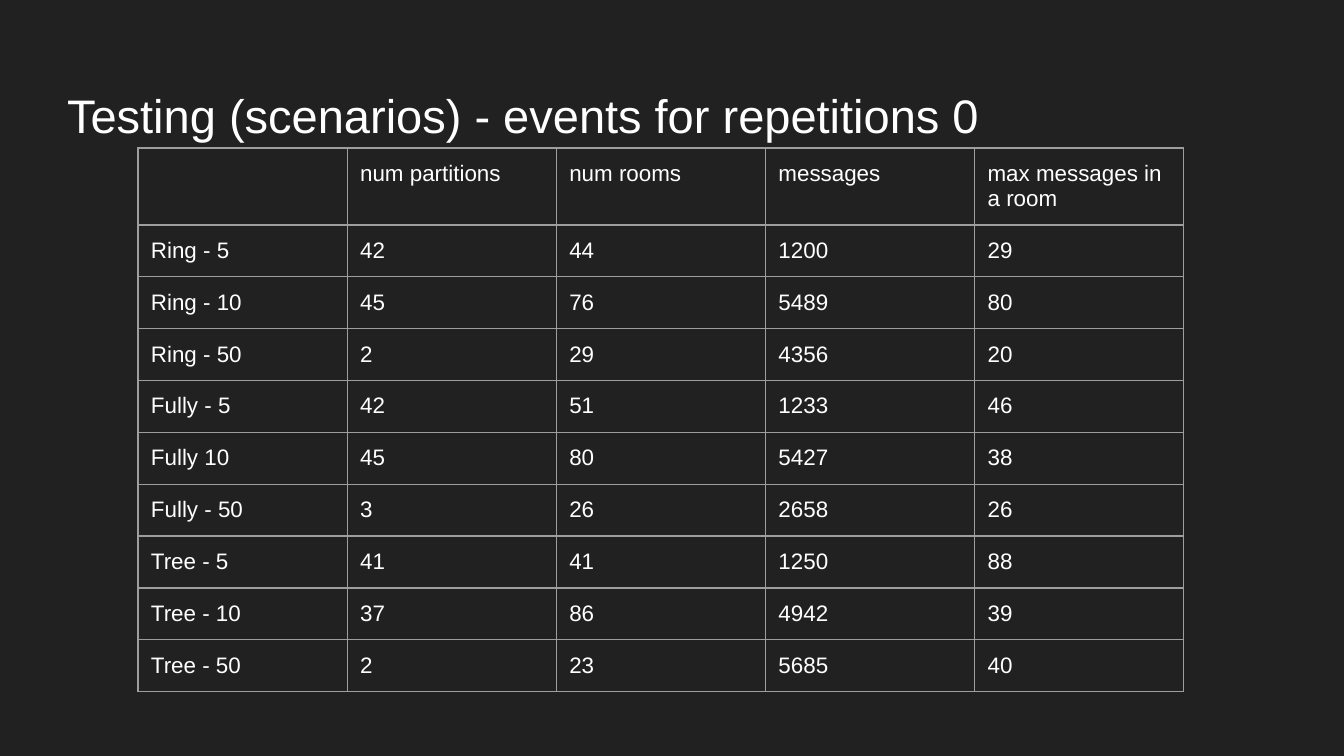
from lxml import etree
from pptx import Presentation
from pptx import util as u
from pptx.dml.color import RGBColor
from pptx.enum import text
from pptx.oxml import ns

SLIDE_W, SLIDE_H = 1344, 756
SCALE = 9144000 / SLIDE_W
INSET = 13
BACKGROUND = RGBColor(0x21, 0x21, 0x21)
INK = RGBColor(0xFF, 0xFF, 0xFF)
GRID = RGBColor(0x9E, 0x9E, 0x9E)

TITLE = "Testing (scenarios) - events for repetitions 0"
HEADINGS = ("", "num partitions", "num rooms", "messages", "max messages in a room")
SCENARIOS = (
    ("Ring - 5", 42, 44, 1200, 29),
    ("Ring - 10", 45, 76, 5489, 80),
    ("Ring - 50", 2, 29, 4356, 20),
    ("Fully - 5", 42, 51, 1233, 46),
    ("Fully 10", 45, 80, 5427, 38),
    ("Fully - 50", 3, 26, 2658, 26),
    ("Tree - 5", 41, 41, 1250, 88),
    ("Tree - 10", 37, 86, 4942, 39),
    ("Tree - 50", 2, 23, 5685, 40),
)


def px(length):
    """Turn pixels into EMU."""
    return u.Emu(round(length * SCALE))


def apply(target, values):
    """Set each attribute in values on target."""
    for attribute, value in values.items():
        setattr(target, attribute, value)


def margins():
    """Return the equal insets used by the title and the cells."""
    return {f"margin_{side}": px(INSET) for side in ("left", "top", "right", "bottom")}


def write(frame, words, size):
    """Write left-aligned words into a text frame."""
    paragraph = frame.paragraphs[0]
    paragraph.alignment = text.PP_ALIGN.LEFT
    font = paragraph.font
    if words:
        run = paragraph.add_run()
        run.text = words
        font = run.font
    apply(font, {"name": "Arial", "size": u.Pt(size), "bold": False})
    font.color.rgb = INK


def outline(cell):
    """Draw a thin line on all four sides of a cell."""
    properties = cell._tc.get_or_add_tcPr()
    for index, side in enumerate(("lnL", "lnR", "lnT", "lnB")):
        line = etree.Element(ns.qn(f"a:{side}"), w=str(u.Pt(0.75)))
        fill = etree.SubElement(line, ns.qn("a:solidFill"))
        etree.SubElement(fill, ns.qn("a:srgbClr"), val=str(GRID))
        properties.insert(index, line)


def add_title(slide, left, top, width, height):
    """Place the slide title in the given box."""
    title = slide.shapes.title
    box = {"left": left, "top": top, "width": width, "height": height}
    apply(title, {side: px(length) for side, length in box.items()})
    apply(title.text_frame, {
        **margins(),
        "word_wrap": True,
        "auto_size": text.MSO_AUTO_SIZE.NONE,
        "vertical_anchor": text.MSO_ANCHOR.BOTTOM,
    })
    write(title.text_frame, TITLE, 25.2)


def add_results(slide, left, top, width, height, header_height):
    """Place the scenario table in the given box."""
    records = (HEADINGS, *SCENARIOS)
    frame = slide.shapes.add_table(
        len(records), len(HEADINGS), px(left), px(top), px(width), px(height))
    results = frame.table
    apply(results, {"first_row": False, "horz_banding": False})
    for column in results.columns:
        column.width = px(width / len(HEADINGS))
    for row in results.rows:
        row.height = px((height - header_height) / len(SCENARIOS))
    results.rows[0].height = px(header_height)
    for row, record in zip(results.rows, records):
        for cell, value in zip(row.cells, record):
            apply(cell, {**margins(), "vertical_anchor": text.MSO_ANCHOR.TOP})
            cell.fill.background()
            write(cell.text_frame, str(value), 12)
            outline(cell)


def main():
    """Build and save the slide."""
    deck = Presentation()
    apply(deck, {"slide_width": px(SLIDE_W), "slide_height": px(SLIDE_H)})
    slide = deck.slides.add_slide(deck.slide_layouts.get_by_name("Title Only"))
    slide.background.fill.solid()
    slide.background.fill.fore_color.rgb = BACKGROUND
    add_title(slide, 54, 71, 1253, 85)
    add_results(slide, 138, 148, 1046, 544, 77)
    deck.save("out.pptx")


if __name__ == "__main__":
    main()
